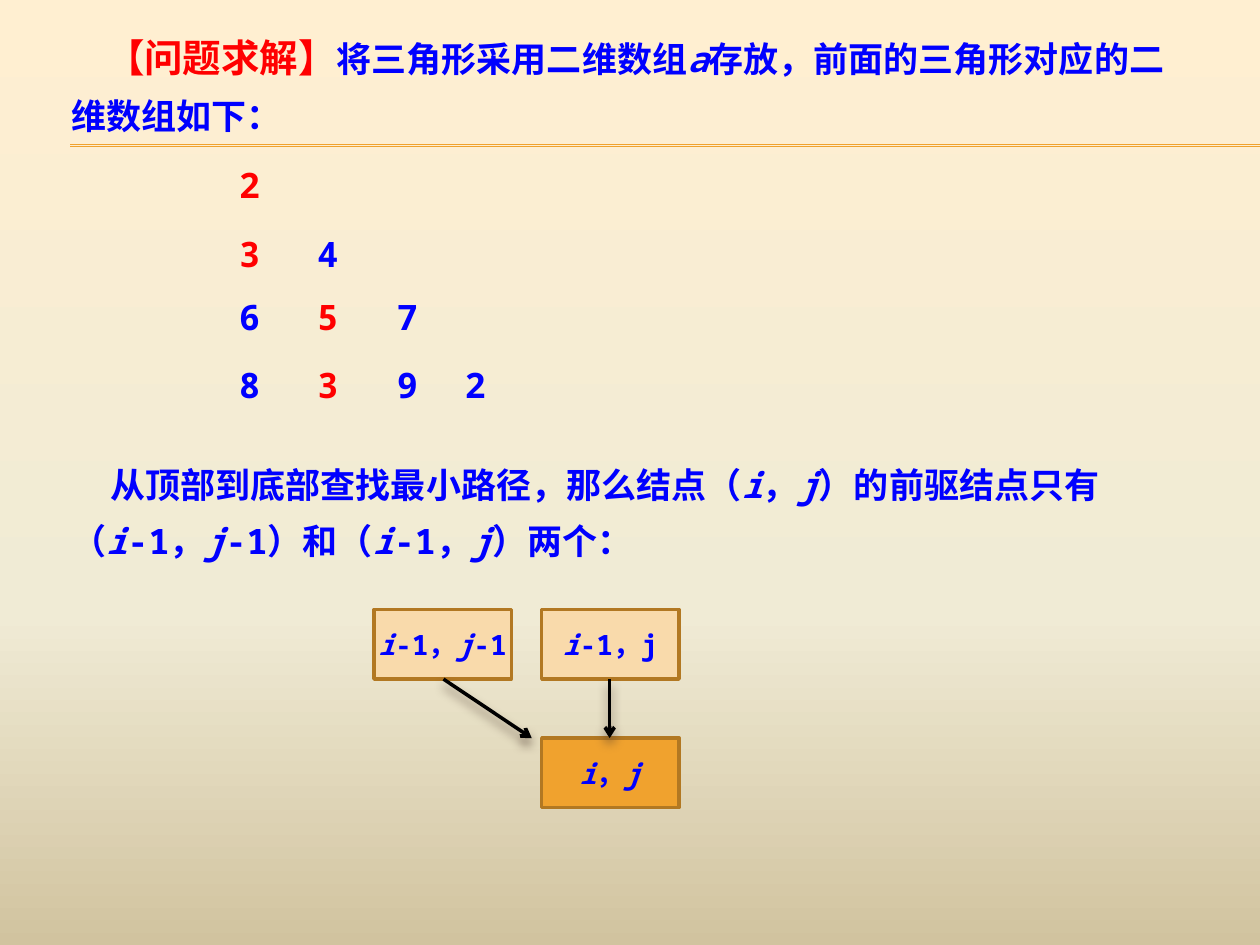
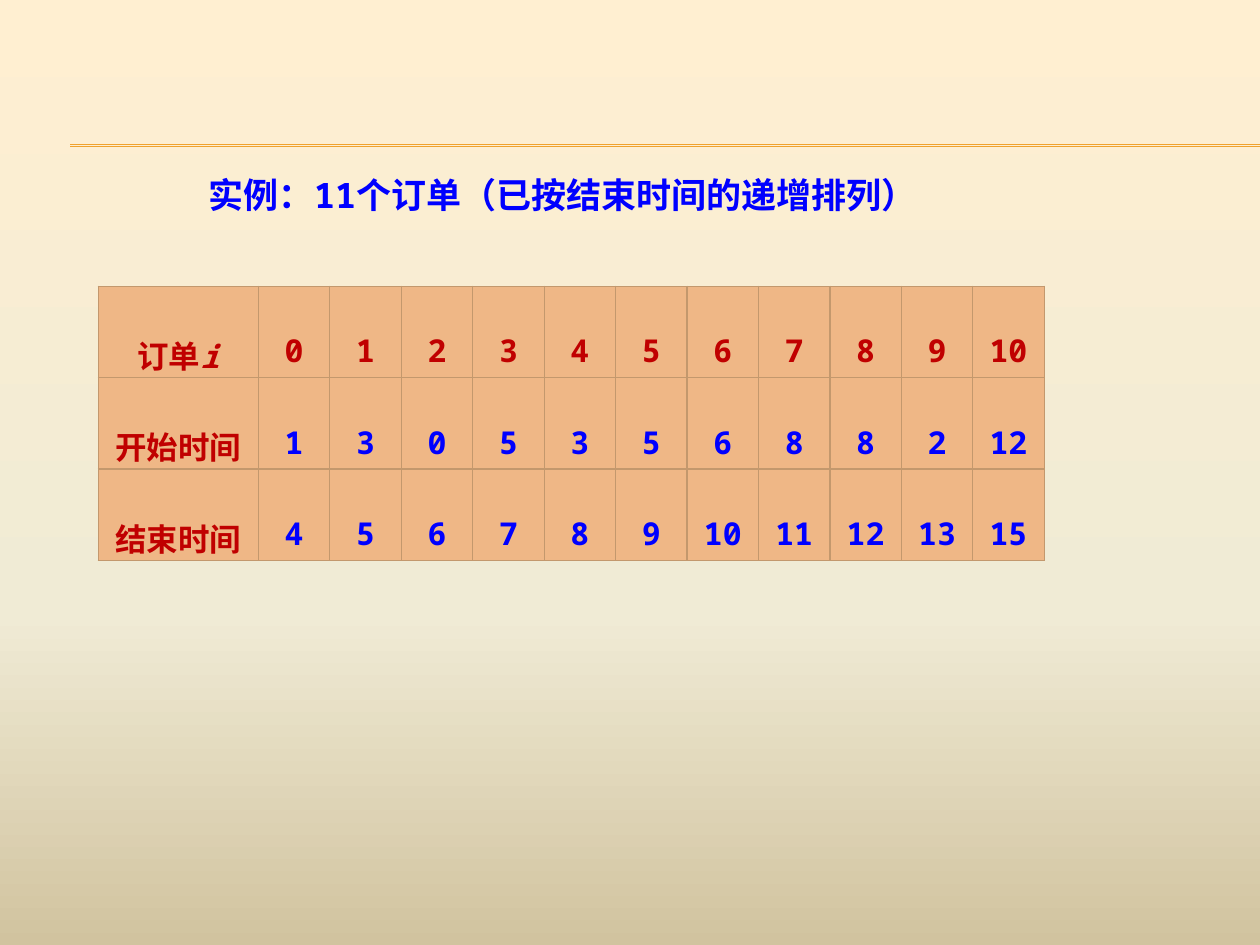
from copy import deepcopy

from lxml import etree
from pptx import Presentation
from pptx.dml.color import RGBColor
from pptx.enum.shapes import MSO_CONNECTOR, MSO_SHAPE
from pptx.enum.text import MSO_ANCHOR, MSO_AUTO_SIZE, PP_ALIGN
from pptx.oxml import parse_xml
from pptx.oxml.ns import nsdecls, qn
from pptx.util import Cm, Pt

BLUE, RED, DARK_RED = "0000FF", "FF0000", "C00000"
ORANGE, PEACH, BROWN = "F0A22E", "F9DAAB", "B27822"
CELL_FILL, CELL_BORDER = "EFB786", "C3986D"
BACKDROP = [(0, "FFEFD1"), (0.65, "F0EBD5"), (1, "D1C39F")]
MONO, CJK = "Noto Sans Mono", "Noto Sans CJK SC"


def rgb(value):
    return RGBColor.from_string(value)


class Deck:
    """Holds the style, the current slide and the canvas that receives shapes."""

    def __init__(self):
        self.prs = Presentation()
        self.prs.slide_width, self.prs.slide_height = Cm(25.4), Cm(19.05)

    def new_slide(self):
        self.slide = self.prs.slides.add_slide(self.prs.slide_layouts[6])
        self.canvas = self.slide.shapes
        fill = self.slide.background.fill
        fill.gradient()
        fill.gradient_angle = 270
        stops = self.slide.element.find(".//" + qn("a:gsLst"))
        stops.append(deepcopy(stops[0]))
        for stop, (position, color) in zip(fill.gradient_stops, BACKDROP):
            stop.position = position
            stop.color.rgb = rgb(color)
        for y in (2.92, 2.92, 2.95):
            self.line(1.42, y, 25.4, y, ORANGE, 0.75)

    def group(self):
        self.canvas = self.slide.shapes.add_group_shape().shapes

    def line(self, x1, y1, x2, y2, color, width):
        line = self.canvas.add_connector(MSO_CONNECTOR.STRAIGHT, Cm(x1), Cm(y1), Cm(x2), Cm(y2))
        line.line.color.rgb = rgb(color)
        line.line.width = Pt(width)
        etree.SubElement(line.element.spPr, qn("a:effectLst"))
        return line

    def arrow(self, x1, y1, x2, y2):
        properties = self.line(x1, y1, x2, y2, "000000", 2).element.spPr
        etree.SubElement(properties.find(qn("a:ln")), qn("a:tailEnd"), type="arrow")
        properties.find(qn("a:effectLst")).append(parse_xml(
            f'<a:outerShdw {nsdecls("a")} blurRad="{Pt(6)}" dist="{Pt(4)}" dir="5400000" rotWithShape="0">'
            '<a:srgbClr val="4E3B30"><a:alpha val="60000"/></a:srgbClr></a:outerShdw>'))

    def runs(self, paragraph, text, size=20, color=BLUE, font=MONO):
        for number, part in enumerate(text.split("*")):
            if not part:
                continue
            run = paragraph.add_run()
            run.text = part
            run.font.size = Pt(size)
            run.font.name = font
            run.font.bold = True
            run.font.italic = number % 2 == 1
            run.font.color.rgb = rgb(color)
            etree.SubElement(run.font._element, qn("a:ea"), typeface=CJK)

    def text(self, x, y, w, h, *pieces, spacing=None, indent=0):
        frame = self.canvas.add_textbox(Cm(x), Cm(y), Cm(w), Cm(h)).text_frame
        frame.word_wrap = True
        frame.auto_size = MSO_AUTO_SIZE.SHAPE_TO_FIT_TEXT
        paragraph = frame.paragraphs[0]
        if spacing:
            paragraph.line_spacing = Pt(spacing)
        if indent:
            paragraph._p.get_or_add_pPr().set("indent", str(Cm(indent)))
        for piece in pieces:
            self.runs(paragraph, *piece)

    def box(self, x, y, label, fill):
        box = self.canvas.add_shape(MSO_SHAPE.RECTANGLE, Cm(x), Cm(y), Cm(2.77), Cm(1.4))
        box.shadow.inherit = False
        box.fill.solid()
        box.fill.fore_color.rgb = rgb(fill)
        box.line.color.rgb = rgb(BROWN)
        box.line.width = Pt(2)
        frame = box.text_frame
        frame.word_wrap = True
        frame.vertical_anchor = MSO_ANCHOR.MIDDLE
        frame.margin_left = frame.margin_right = 0
        frame.paragraphs[0].alignment = PP_ALIGN.CENTER
        self.runs(frame.paragraphs[0], label, 16)

    def table(self, x, y, widths, row_height, rows):
        table = self.canvas.add_table(len(rows), len(widths), Cm(x), Cm(y), Cm(sum(widths)),
                                      Cm(row_height * len(rows))).table
        table.first_row = table.horz_banding = False
        for column, width in zip(table.columns, widths):
            column.width = Cm(width)
        for r, values in enumerate(rows):
            table.rows[r].height = Cm(row_height)
            for c, value in enumerate(values):
                color = DARK_RED if r == 0 or c == 0 else BLUE
                self.cell(table.cell(r, c), str(value), color)

    def cell(self, cell, value, color):
        cell.margin_left = cell.margin_right = Cm(0.18)
        cell.margin_top = cell.margin_bottom = 0
        for side in ("lnL", "lnR", "lnT", "lnB"):
            cell._tc.get_or_add_tcPr().append(parse_xml(
                f'<a:{side} {nsdecls("a")} w="{Pt(0.79)}"><a:solidFill>'
                f'<a:srgbClr val="{CELL_BORDER}"/></a:solidFill></a:{side}>'))
        cell.fill.solid()
        cell.fill.fore_color.rgb = rgb(CELL_FILL)
        paragraph = cell.text_frame.paragraphs[0]
        paragraph.alignment = PP_ALIGN.CENTER
        paragraph.line_spacing = 2.0
        self.runs(paragraph, value, 18, color)


def triangle_slide(deck):
    deck.new_slide()
    deck.text(1.19, 0.36, 23.22, 2.54, ("【问题求解】", 22, RED, CJK),
              ("将三角形采用二维数组*a*存放，前面的三角形对应的二维数组如下：",),
              spacing=32, indent=0.7)
    deck.text(1.19, 8.94, 23.01, 2.54,
              ("从顶部到底部查找最小路径，那么结点（*i*，*j*）的前驱结点只有"
               "（*i*-1，*j*-1）和（*i*-1，*j*）两个：",),
              spacing=32, indent=0.79)

    triangle = [(2,), (3, 4), (6, 5, 7), (8, 3, 9, 2)]
    path_columns = (0, 0, 1, 1)
    column_x = (4.57, 6.15, 7.75, 9.12)
    row_y = (3.18, 4.57, 5.84, 7.21)
    deck.group()
    for y, numbers, path_column in zip(row_y, triangle, path_columns):
        for column, number in enumerate(numbers):
            color = RED if column == path_column else BLUE
            deck.text(column_x[column], y, 0.79, 1.12, (str(number), 20, color))

    deck.group()
    deck.box(10.92, 14.88, "*i*，*j*", ORANGE)
    deck.box(10.92, 12.29, "*i*-1，j", PEACH)
    deck.box(7.54, 12.29, "*i*-1，*j*-1", PEACH)
    deck.arrow(12.29, 13.69, 12.29, 14.88)
    deck.arrow(8.94, 13.69, 10.72, 14.88)


def orders_slide(deck):
    deck.new_slide()
    deck.table(1.98, 5.77, [3.23] + [1.44] * 11, 1.65, [
        ["订单*i*", *range(11)],
        ["开始时间", 1, 3, 0, 5, 3, 5, 6, 8, 8, 2, 12],
        ["结束时间", 4, 5, 6, 7, 8, 9, 10, 11, 12, 13, 15],
    ])
    deck.text(3.96, 3.38, 16.28, 1.12, ("实例：11个订单（已按结束时间的递增排列）",))


deck = Deck()
triangle_slide(deck)
orders_slide(deck)
deck.prs.save("out.pptx")
